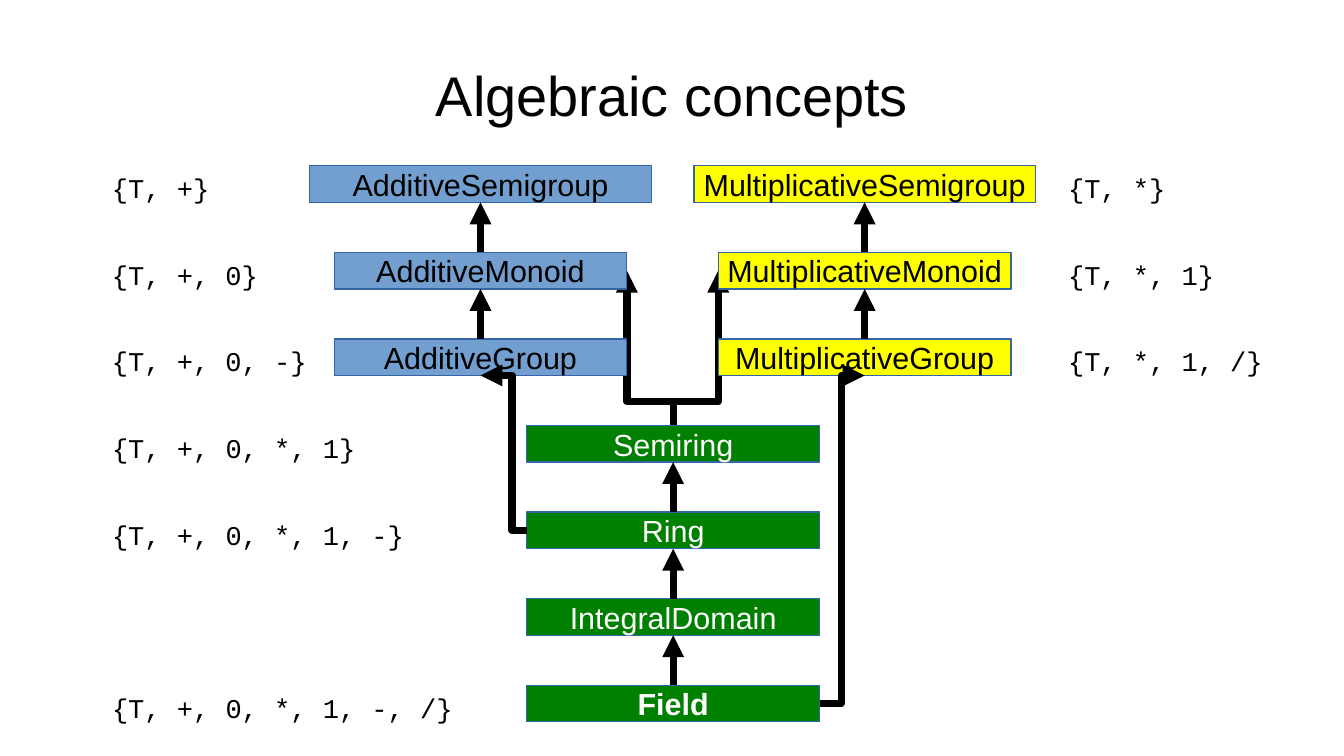
import pptx
import pptx.dml.color
import pptx.enum.shapes
import pptx.enum.text
import pptx.oxml
import pptx.oxml.ns
import pptx.util
from pptx.util import Inches

TITLE = "Algebraic concepts"

# column: centre x, fill, text colour, concepts as (row, name, width)
COLUMNS = {
    "additive": (3.94, "729FCF", "000000", [
        (0, "AdditiveSemigroup", 2.8),
        (1, "AdditiveMonoid", 2.4),
        (2, "AdditiveGroup", 2.4)]),
    "multiplicative": (7.09, "FFFF00", "000000", [
        (0, "MultiplicativeSemigroup", 2.8),
        (1, "MultiplicativeMonoid", 2.4),
        (2, "MultiplicativeGroup", 2.4)]),
    "rings": (5.52, "008000", "FFFFFF", [
        (3, "Semiring", 2.4),
        (4, "Ring", 2.4),
        (5, "IntegralDomain", 2.4),
        (6, "Field", 2.4)]),
}
EMPHASISED = "Field"

# signatures: left edge, then (row, text, width)
SIGNATURES = [
    (0.82, [
        (0, "{T, +}", 1.8),
        (1, "{T, +, 0}", 1.8),
        (2, "{T, +, 0, -}", 1.8),
        (3, "{T, +, 0, *, 1}", 2.28),
        (4, "{T, +, 0, *, 1, -}", 2.68),
        (6, "{T, +, 0, *, 1, -, /}", 3.08)]),
    (8.66, [
        (0, "{T, *}", 1.8),
        (1, "{T, *, 1}", 1.8),
        (2, "{T, *, 1, /}", 1.8)]),
]

THEME = {
    "font": "Arial", "code_font": "Courier New",
    "title_size": 33, "concept_size": 18, "code_size": 16,
    "ink": "000000", "outline": "3465A4", "arrow_width": 4.31,
}
FIRST_ROW, ROW_STEP, BOX_HEIGHT = 1.36, 0.71, 0.3
TOP, BOTTOM = 0, 2

prs = pptx.Presentation()
prs.slide_width, prs.slide_height = Inches(11.02), Inches(6.2)
slide = prs.slides.add_slide(prs.slide_layouts[6])


def rgb(value):
    return pptx.dml.color.RGBColor.from_string(value)


def row_top(row):
    return FIRST_ROW + row * ROW_STEP


def write(frame, text, font, size, color, bold=False, centred=False):
    frame.text = text
    paragraph = frame.paragraphs[0]
    if centred:
        paragraph.alignment = pptx.enum.text.PP_ALIGN.CENTER
    style = paragraph.runs[0].font
    style.name, style.size, style.bold = font, pptx.util.Pt(size), bold
    style.color.rgb = rgb(color)


def add_arrow(kind, start, end):
    arrow = slide.shapes.add_connector(
        kind, *(Inches(value) for value in (*start, *end)))
    arrow.line.color.rgb = rgb(THEME["ink"])
    arrow.line.width = pptx.util.Pt(THEME["arrow_width"])
    pptx.oxml.ns.qn("a:ln")
    line = arrow.line._get_or_add_ln()
    line.append(pptx.oxml.parse_xml(
        f'<a:tailEnd {pptx.oxml.ns.nsdecls("a")} type="triangle"/>'))
    arrow._element.spPr.append(pptx.oxml.parse_xml(
        f'<a:effectLst {pptx.oxml.ns.nsdecls("a")}/>'))
    return arrow


def add_elbow(start, end, bend, vertical=False):
    """Three-part arrow that turns after the share `bend` of its first direction."""
    rotation = 0
    if vertical:
        # An upright elbow is a level one, turned by a quarter about its centre.
        (x1, y1), (x2, y2) = start, end
        cx, cy = (x1 + x2) / 2, (y1 + y2) / 2
        side = 1 if x2 > x1 else -1
        half_w, half_h = side * (y1 - y2) / 2, abs(x2 - x1) / 2
        start, end = (cx + half_w, cy + half_h), (cx - half_w, cy - half_h)
        rotation = 90 if side > 0 else 270
    arrow = add_arrow(pptx.enum.shapes.MSO_CONNECTOR.ELBOW, start, end)
    properties = arrow._element.spPr
    if rotation:
        properties.find(pptx.oxml.ns.qn("a:xfrm")).set("rot", str(rotation * 60000))
    geometry = properties.find(pptx.oxml.ns.qn("a:prstGeom"))
    for guides in list(geometry):
        geometry.remove(guides)
    geometry.append(pptx.oxml.parse_xml(
        f'<a:avLst {pptx.oxml.ns.nsdecls("a")}>'
        f'<a:gd name="adj1" fmla="val {round(bend * 100000)}"/></a:avLst>'))


def add_concept(name, row, centre, width, fill, color):
    box = slide.shapes.add_shape(
        pptx.enum.shapes.MSO_SHAPE.FLOWCHART_PROCESS,
        Inches(centre - width / 2), Inches(row_top(row)),
        Inches(width), Inches(BOX_HEIGHT))
    box.shadow.inherit = False
    box.fill.solid()
    box.fill.fore_color.rgb = rgb(fill)
    box.line.color.rgb = rgb(THEME["outline"])
    box.line.width = 0
    frame = box.text_frame
    frame.word_wrap = False
    frame.vertical_anchor = pptx.enum.text.MSO_ANCHOR.MIDDLE
    write(frame, name, THEME["font"], THEME["concept_size"], color,
          bold=name == EMPHASISED, centred=True)
    return box


sides = {}
for centre, _, _, concepts in COLUMNS.values():
    for row, name, width in concepts:
        top, middle = row_top(row), row_top(row) + BOX_HEIGHT / 2
        sides[name] = {
            "top": (centre, top), "bottom": (centre, top + BOX_HEIGHT),
            "left": (centre - width / 2, middle),
            "right": (centre + width / 2, middle)}

# The monoid arrows run behind the boxes.
for monoid, side in (("AdditiveMonoid", "right"), ("MultiplicativeMonoid", "left")):
    add_elbow(sides["Semiring"]["top"], sides[monoid][side], 0.155, vertical=True)

for centre, fill, color, concepts in COLUMNS.values():
    boxes = [add_concept(name, row, centre, width, fill, color)
             for row, name, width in concepts]
    for (_, general, _), (_, special, _), upper, lower in zip(
            concepts, concepts[1:], boxes, boxes[1:]):
        arrow = add_arrow(pptx.enum.shapes.MSO_CONNECTOR.STRAIGHT,
                          sides[special]["top"], sides[general]["bottom"])
        arrow.begin_connect(lower, TOP)
        arrow.end_connect(upper, BOTTOM)

add_elbow(sides["Ring"]["left"], sides["AdditiveGroup"]["bottom"], 0.32)
add_elbow(sides["Field"]["right"], sides["MultiplicativeGroup"]["bottom"], 0.48)

for left, signatures in SIGNATURES:
    for row, signature, width in signatures:
        label = slide.shapes.add_textbox(
            Inches(left), Inches(row_top(row)), Inches(width), Inches(0.36))
        label.text_frame.word_wrap = True
        write(label.text_frame, signature, THEME["code_font"],
              THEME["code_size"], THEME["ink"])

heading = slide.shapes.add_textbox(
    Inches(0.55), Inches(0.25), Inches(9.92), Inches(1.04)).text_frame
heading.word_wrap = True
heading.vertical_anchor = pptx.enum.text.MSO_ANCHOR.MIDDLE
heading.margin_left = heading.margin_right = 0
heading.margin_top = heading.margin_bottom = 0
write(heading, TITLE, THEME["font"], THEME["title_size"], THEME["ink"], centred=True)

prs.save("out.pptx")
